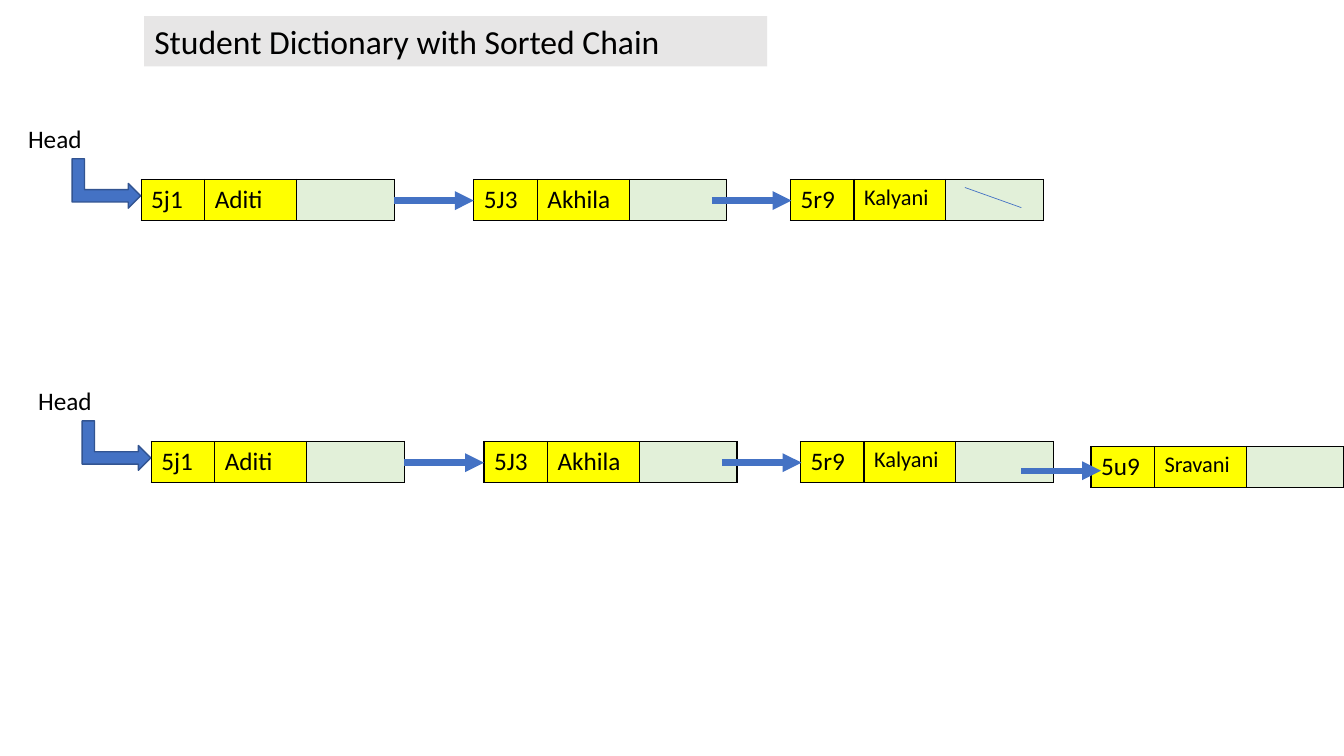
from dataclasses import dataclass

from lxml import etree
from pptx import Presentation
from pptx.dml.color import RGBColor
from pptx.enum.shapes import MSO_CONNECTOR, MSO_SHAPE
from pptx.enum.text import MSO_ANCHOR, MSO_AUTO_SIZE, PP_ALIGN
from pptx.oxml.ns import qn
from pptx.util import Inches, Pt

STRAIGHT = MSO_CONNECTOR.STRAIGHT
BENT_ARROW = MSO_SHAPE.BENT_UP_ARROW
MIDDLE = MSO_ANCHOR.MIDDLE
NO_FIT = MSO_AUTO_SIZE.NONE
LEFT = PP_ALIGN.LEFT


@dataclass(frozen=True)
class Theme:
    font: str = "Calibri"
    text: str = "000000"
    title_fill: str = "E7E6E6"
    data_fill: str = "FFFF00"
    link_fill: str = "E2F0D9"
    arrow: str = "4472C4"
    arrow_edge: str = "325491"
    title_size: int = 24
    body_size: int = 18
    small_size: int = 16
    arrow_width: float = 4.5
    null_width: float = 0.5


class ChainSlide:
    columns = (0.63, 0.91, 0.97)
    row_height = 0.41

    def __init__(self, prs, theme):
        self.theme = theme
        self.s = prs.slides.add_slide(prs.slide_layouts[5])

    def paint(self, fill, color):
        fill.solid()
        fill.fore_color.rgb = RGBColor.from_string(color)

    def set_text(self, tf, text, size):
        tf.text = text
        p = tf.paragraphs[0]
        p.alignment = LEFT
        for r in p.runs:
            r.font.name = self.theme.font
            r.font.size = Pt(size)
            r.font.bold = False
            r.font.color.rgb = RGBColor.from_string(self.theme.text)

    def title(self, text, x, y, w, h):
        sp = self.s.shapes.title
        sp.left, sp.top, sp.width, sp.height = map(Inches, (x, y, w, h))
        self.paint(sp.fill, self.theme.title_fill)
        tf = sp.text_frame
        tf.auto_size = NO_FIT
        tf.word_wrap = True
        tf.vertical_anchor = MIDDLE
        self.set_text(tf, text, self.theme.title_size)

    def label(self, text, x, y, w, h):
        tf = self.s.shapes.add_textbox(*map(Inches, (x, y, w, h))).text_frame
        tf.word_wrap = True
        self.set_text(tf, text, self.theme.body_size)

    def border(self, cell):
        tcPr = cell._tc.get_or_add_tcPr()
        for i, side in enumerate(("a:lnL", "a:lnR", "a:lnT", "a:lnB")):
            ln = etree.Element(qn(side), w=str(Pt(1)))
            fill = etree.SubElement(ln, qn("a:solidFill"))
            etree.SubElement(fill, qn("a:srgbClr"), val=self.theme.text)
            tcPr.insert(i, ln)

    def node(self, key, name, name_size, x, y):
        frame = self.s.shapes.add_table(
            1, 3, Inches(x), Inches(y),
            Inches(sum(self.columns)), Inches(self.row_height))
        table = frame.table
        table.first_row = False
        table.horz_banding = False
        table.rows[0].height = Inches(self.row_height)
        cells = (
            (key, self.theme.body_size, self.theme.data_fill),
            (name, name_size, self.theme.data_fill),
            ("", self.theme.body_size, self.theme.link_fill),
        )
        for i, (text, size, fill) in enumerate(cells):
            table.columns[i].width = Inches(self.columns[i])
            cell = table.cell(0, i)
            self.set_text(cell.text_frame, text, size)
            self.paint(cell.fill, fill)
            self.border(cell)

    def line(self, x1, y1, x2, y2, width, arrow=True):
        c = self.s.shapes.add_connector(
            STRAIGHT, *map(Inches, (x1, y1, x2, y2)))
        c.line.color.rgb = RGBColor.from_string(self.theme.arrow)
        c.line.width = Pt(width)
        spPr = c._element.spPr
        if arrow:
            etree.SubElement(spPr.find(qn("a:ln")), qn("a:tailEnd"), type="triangle")
        etree.SubElement(spPr, qn("a:effectLst"))

    def link(self, x, y):
        self.line(x, y, x + 0.79, y, self.theme.arrow_width)

    def head(self, x, y):
        sp = self.s.shapes.add_shape(
            BENT_ARROW, Inches(x - 0.59), Inches(y - 0.3), Inches(0.49), Inches(0.68))
        sp.rotation = 90
        sp.shadow.inherit = False
        self.paint(sp.fill, self.theme.arrow)
        sp.line.color.rgb = RGBColor.from_string(self.theme.arrow_edge)
        sp.line.width = Pt(1)
        self.label("Head", x - 1.22, y - 0.61, 0.92, 0.4)

    def chain(self, x, y):
        theme = self.theme
        students = (
            ("5j1", "Aditi", theme.body_size, 0),
            ("5J3", "Akhila", theme.body_size, 3.3),
            ("5r9", "Kalyani", theme.small_size, 6.44),
        )
        for key, name, size, dx in students:
            self.node(key, name, size, x + dx, y)
        for dx in (2.51, 5.66):
            self.link(x + dx, y + 0.21)
        self.head(x, y)


def main():
    prs = Presentation()
    prs.slide_width, prs.slide_height = Inches(13.33), Inches(7.5)
    theme = Theme()
    slide = ChainSlide(prs, theme)
    slide.title("Student Dictionary with Sorted Chain", 1.43, 0.16, 6.18, 0.5)
    slide.chain(1.4, 1.78)
    slide.line(9.57, 1.86, 10.13, 2.06, theme.null_width, arrow=False)
    slide.chain(1.5, 4.38)
    slide.node("5u9", "Sravani", theme.small_size, 10.82, 4.43)
    slide.link(10.13, 4.67)
    prs.save("out.pptx")


if __name__ == "__main__":
    main()
